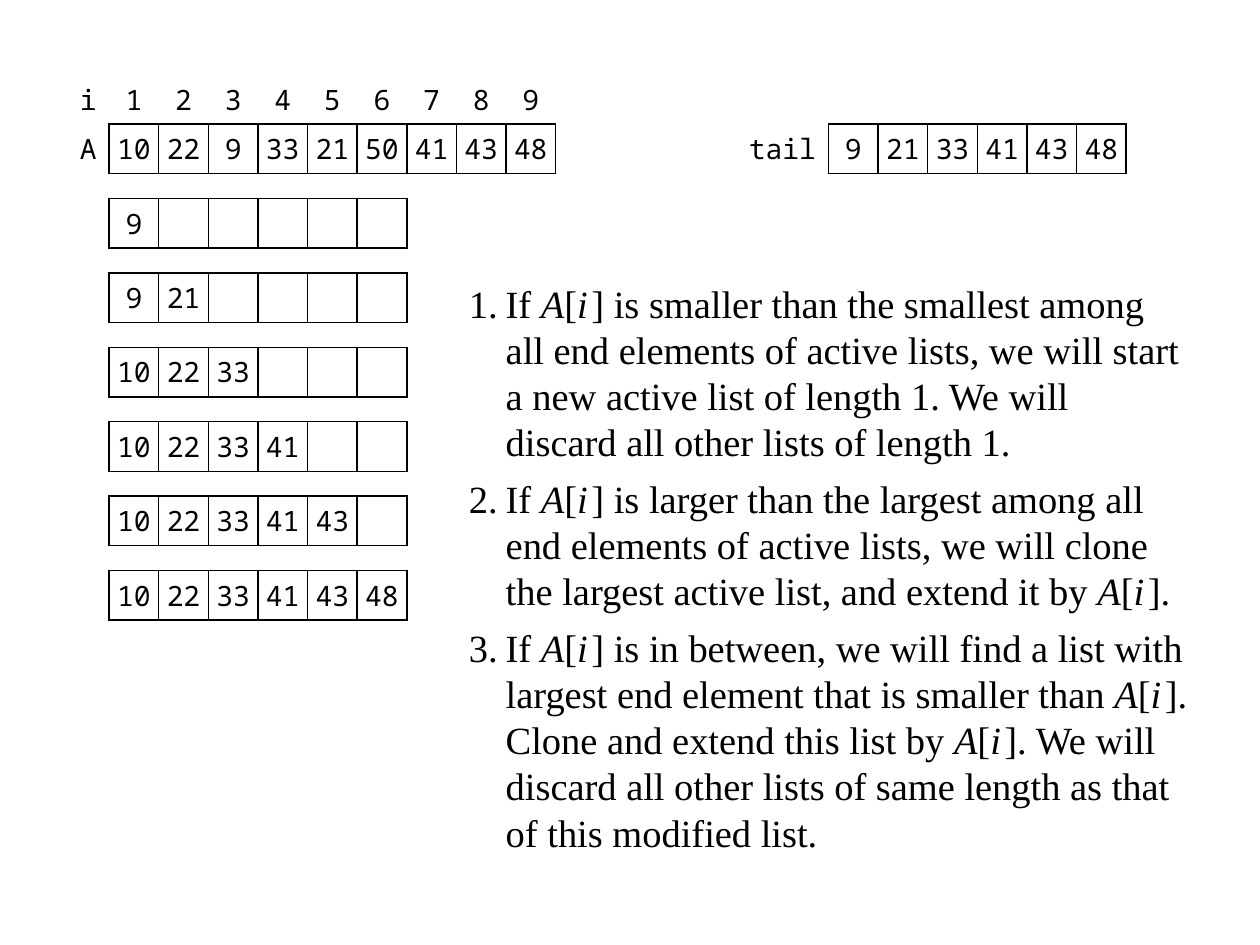
from lxml import etree
from pptx import Presentation
from pptx.dml.color import RGBColor
from pptx.enum import text
from pptx.oxml import ns
from pptx.util import Pt

BLACK = RGBColor(0, 0, 0)
CELL = 28.35  # one grid unit, 1 cm
NO_STYLE = "{2D5ABB26-0587-4C30-8999-92F81FD0307C}"

deck = Presentation()
deck.slide_width, deck.slide_height = Pt(720), Pt(540)
page = deck.slides.add_slide(deck.slide_layouts[1])
title, body = page.placeholders
title.element.getparent().remove(title.element)


def draw_edges(cell, edges):
    """Draw black lines on the named sides of a cell, in schema order."""
    properties = cell._tc.get_or_add_tcPr()
    for place, edge in enumerate(edges):
        line = etree.Element(ns.qn(f"a:ln{edge}"), w=str(Pt(1)))
        fill = etree.SubElement(line, ns.qn("a:solidFill"))
        etree.SubElement(fill, ns.qn("a:srgbClr"), val=str(BLACK))
        properties.insert(place, line)


def add_array(rows, left, top, label_width=CELL):
    """Add rows of boxed numbers; words are labels, and an 'i' row is unboxed."""
    count = len(rows[0])
    frame = page.shapes.add_table(len(rows), count, Pt(left), Pt(top),
                                  Pt(CELL * count), Pt(CELL * len(rows)))
    table = frame.table
    table.first_row = table.horz_banding = False
    table._tbl.tblPr.find(ns.qn("a:tableStyleId")).text = NO_STYLE
    for column in table.columns:
        column.width = Pt(CELL)
    table.columns[0].width = Pt(label_width)
    for r, row in enumerate(rows):
        table.rows[r].height = Pt(CELL)
        for c, value in enumerate(row):
            cell = table.cell(r, c)
            is_label = isinstance(value, str) and value != ""
            cell.margin_left = cell.margin_top = cell.margin_bottom = 0
            cell.margin_right = Pt(7.2 if is_label else 0)
            cell.vertical_anchor = text.MSO_ANCHOR.MIDDLE
            cell.fill.background()
            if row[0] == "i":
                draw_edges(cell, "" if is_label else "B")
            else:
                draw_edges(cell, "R" if is_label else "LRTB")
            if value == "":
                continue
            para = cell.text_frame.paragraphs[0]
            para.alignment = text.PP_ALIGN.RIGHT if is_label else text.PP_ALIGN.CENTER
            span = para.add_run()
            span.text = str(value)
            span.font.name, span.font.size = "Noto Sans Mono", Pt(16)
            span.font.color.rgb = BLACK


# Input array with its indices
add_array([["i", *range(1, 10)],
           ["A", 10, 22, 9, 33, 21, 50, 41, 43, 48]], 1.2 * CELL, 1.5 * CELL)

# Active lists, one of each length
active_lists = [
    [9],
    [9, 21],
    [10, 22, 33],
    [10, 22, 33, 41],
    [10, 22, 33, 41, 43],
    [10, 22, 33, 41, 43, 48],
]
for n, values in enumerate(active_lists):
    add_array([values + [""] * (6 - len(values))], 2.2 * CELL, (4 + 1.5 * n) * CELL)

# End elements of the active lists
add_array([["tail", 9, 21, 33, 41, 43, 48]], 14.7 * CELL, 2.5 * CELL, 2 * CELL)

# Numbered rules
rules = [
    "If A[i] is smaller than the smallest among all end elements of active lists, "
    "we will start a new active list of length 1. "
    "We will discard all other lists of length 1.",
    "If A[i] is larger than the largest among all end elements of active lists, "
    "we will clone the largest active list, and extend it by A[i].",
    "If A[i] is in between, we will find a list with largest end element that is "
    "smaller than A[i]. Clone and extend this list by A[i]. We will discard all "
    "other lists of same length as that of this modified list.",
]
body.left, body.top = Pt(260.8), Pt(156.2)
body.width, body.height = Pt(425.2), Pt(340.4)
body.text_frame.auto_size = text.MSO_AUTO_SIZE.NONE
body.text_frame.word_wrap = True
for n, rule in enumerate(rules):
    para = body.text_frame.paragraphs[0] if n == 0 else body.text_frame.add_paragraph()
    para.space_before = Pt(6 if n else 0)
    para.line_spacing = Pt(26.4)
    properties = para._p.get_or_add_pPr()
    properties.set("marL", str(Pt(21)))
    properties.set("indent", str(-Pt(21)))
    etree.SubElement(properties, ns.qn("a:buNone"))
    first, *others = rule.split("A[i]")
    pieces = [f"{n + 1}.\t{first}"]
    for other in others:
        pieces += ["A", "[", "i", "]" + other]
    for piece in pieces:
        span = para.add_run()
        span.text = piece
        span.font.name, span.font.size = "Times New Roman", Pt(22)
        span.font.color.rgb = BLACK
        span.font.italic = piece in ("A", "i")
        if piece == "i":
            span._r.get_or_add_rPr().set("spc", "200")

deck.save("out.pptx")
